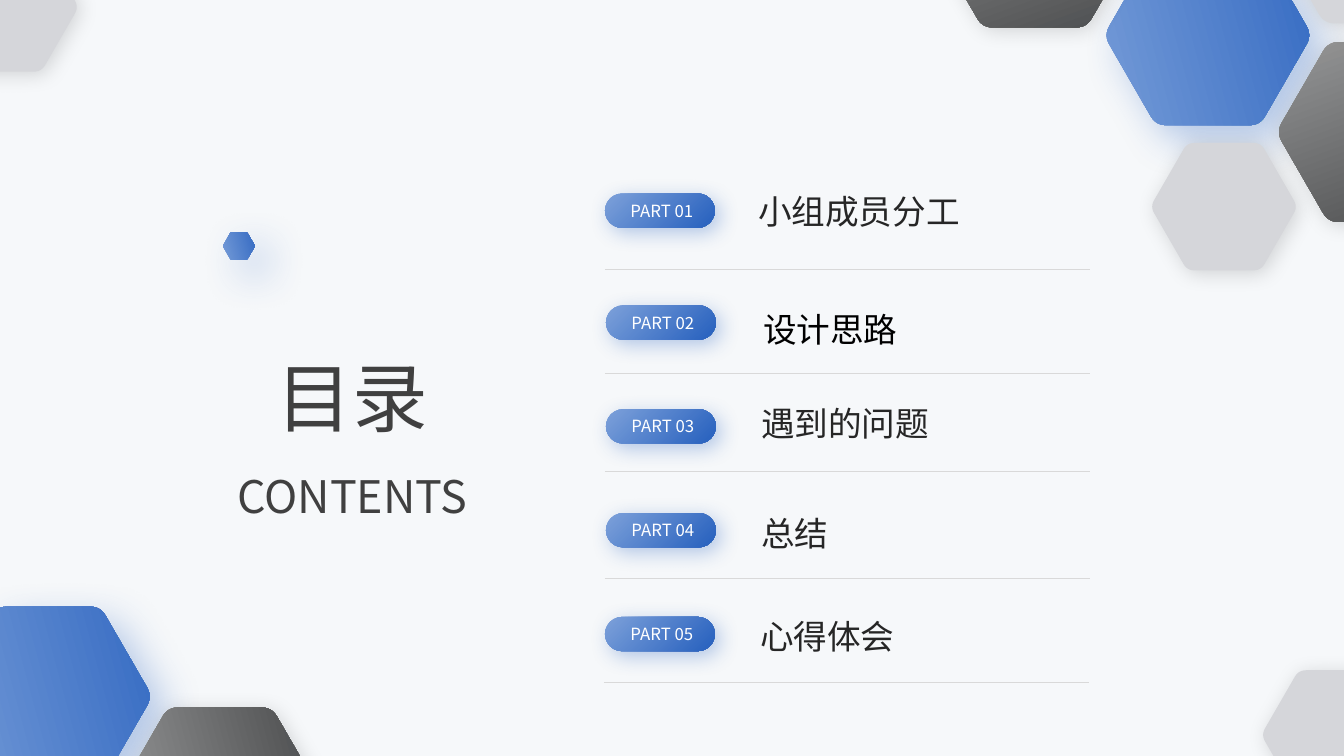
from dataclasses import dataclass
from math import cos, pi, sin

from lxml.etree import SubElement
from pptx import Presentation
from pptx.dml.color import RGBColor
from pptx.enum.shapes import MSO_CONNECTOR as Link, MSO_SHAPE as Shape
from pptx.enum.text import MSO_AUTO_SIZE as Fit, PP_ALIGN as Align
from pptx.oxml.ns import qn
from pptx.util import Inches, Pt


@dataclass(frozen=True)
class Theme:
    font: str = "Noto Sans CJK SC"
    back: str = "F6F8FA"
    blue: tuple = ("7DA1DA", "2D65C0")
    dark: tuple = ("A5A5A5", "3D3F41")
    pale: str = "D5D6DA"
    rule: str = "D9D9D9"
    head: str = "404040"
    text: str = "262626"
    black: str = "000000"
    white: str = "FFFFFF"
    head_size: int = 54
    sub_size: int = 32
    item_size: int = 24
    tag_size: int = 12


@dataclass(frozen=True)
class Glow:
    color: str
    alpha: int
    blur: int
    dist: int


@dataclass(frozen=True)
class Item:
    title: str
    box: tuple
    tag: tuple
    color: str = Theme.text
    align: Align = Align.LEFT
    space: float = 1.0


THEME = Theme()
HALO = Glow(THEME.blue[1], 35, 30, 15)
LIFT = Glow(THEME.blue[1], 35, 15, 5)
SHADE = Glow(THEME.black, 15, 15, 3)

ITEMS = [
    Item("小组成员分工", (7.42, 1.84, 3.24, 0.5), (6, 1.92)),
    Item("设计思路", (6.57, 2.94, 3.33, 0.58), (6.01, 3.03),
         THEME.black, Align.CENTER, 1.2),
    Item("遇到的问题", (7.45, 3.95, 3.24, 0.5), (6.01, 4.06)),
    Item("总结", (7.45, 5.04, 3.24, 0.5), (6.01, 5.09)),
    Item("心得体会", (7.44, 6.06, 3.24, 0.5), (6, 6.12)),
]
RULES = [(6, 2.67), (6, 3.7), (6, 4.68), (6, 5.74), (5.99, 6.77)]

# Centre x, centre y, radius, fill, gradient angle, shadow
HEXES = [
    (0.48, 6.91, 1.03, THEME.blue, 45, HALO),
    (2.18, 7.91, 1.03, THEME.dark, 45, SHADE),
    (11.98, 0.35, 1.03, THEME.blue, 45, HALO),
    (13.69, 1.31, 1.03, THEME.dark, 130, SHADE),
    (10.26, -0.62, 1.03, THEME.dark, 130, SHADE),
    (12.14, 2.05, 0.73, THEME.pale, 0, SHADE),
    (13.25, 7.29, 0.74, THEME.pale, 0, SHADE),
    (0.04, 0.07, 0.74, THEME.pale, 0, SHADE),
    (13.65, -0.66, 1.03, THEME.pale, 0, SHADE),
    (2.37, 2.44, 0.16, THEME.blue, 45, HALO),
]


def rgb(code):
    return RGBColor.from_string(code)


def paint(shape, fill, angle=45, end=1.0):
    """Fill with one colour, or with a pair as a clockwise gradient."""
    shape.line.fill.background()
    if isinstance(fill, str):
        shape.fill.solid()
        shape.fill.fore_color.rgb = rgb(fill)
        return
    shape.fill.gradient()
    shape.fill.gradient_angle = 360 - angle
    for stop, code, place in zip(shape.fill.gradient_stops, fill, (0, end)):
        stop.color.rgb = rgb(code)
        stop.position = place


def shade(shape, glow):
    """Give the shape a soft shadow to the lower right."""
    shape.shadow.inherit = False
    root = shape.element.spPr.find(qn("a:effectLst"))
    outer = SubElement(root, qn("a:outerShdw"), blurRad=str(Pt(glow.blur)),
                       dist=str(Pt(glow.dist)), dir=str(45 * 60000),
                       algn="ctr", rotWithShape="0")
    color = SubElement(outer, qn("a:srgbClr"), val=glow.color)
    SubElement(color, qn("a:alpha"), val=str(glow.alpha * 1000))


def outline(x, y, radius, cut=0.1, steps=6):
    """Points of a regular hexagon with rounded corners."""
    tips = [(x + radius * cos(k * pi / 3), y + radius * sin(k * pi / 3))
            for k in range(6)]
    dots = []
    for k, tip in enumerate(tips):
        start, stop = ([a + (b - a) * cut for a, b in zip(tip, near)]
                       for near in (tips[k - 1], tips[(k + 1) % 6]))
        for n in range(steps + 1):
            t = n / steps
            dots.append(tuple(
                Inches((1 - t) ** 2 * a + 2 * t * (1 - t) * b + t * t * c)
                for a, b, c in zip(start, tip, stop)))
    return dots


def add_hex(shapes, x, y, radius, fill, angle, glow):
    dots = outline(x, y, radius)
    pen = shapes.build_freeform(*dots[0])
    pen.add_line_segments(dots[1:], close=True)
    shape = pen.convert_to_shape()
    shape.rotation = 300
    paint(shape, fill, angle)
    shade(shape, glow)


def add_text(shapes, box, lines, color, align=Align.CENTER, space=1.0):
    """Add a text box; lines holds pairs of wording and size."""
    frame = shapes.add_textbox(*map(Inches, box)).text_frame
    frame.word_wrap = True
    frame.auto_size = Fit.SHAPE_TO_FIT_TEXT
    for k, (words, size) in enumerate(lines):
        para = frame.add_paragraph() if k else frame.paragraphs[0]
        para.alignment = align
        para.line_spacing = space
        run = para.add_run()
        run.text = words
        run.font.name = THEME.font
        run.font.size = Pt(size)
        run.font.color.rgb = rgb(color)
        SubElement(run.font._element, qn("a:ea"), typeface=THEME.font)


def add_item(slide, number, item):
    shapes = slide.shapes.add_group_shape().shapes
    add_text(shapes, item.box, [(item.title, THEME.item_size)],
             item.color, item.align, item.space)
    x, y = item.tag
    pill = shapes.add_shape(Shape.ROUNDED_RECTANGLE,
                            *map(Inches, (x, y, 1.09, 0.34)))
    pill.adjustments[0] = 0.5
    paint(pill, THEME.blue, end=0.92)
    shade(pill, LIFT)
    add_text(shapes, (x, y + 0.02, 1.13, 0.3),
             [(f"PART {number:02}", THEME.tag_size)], THEME.white)


def add_rule(shapes, x, y):
    rule = shapes.add_connector(Link.STRAIGHT,
                                *map(Inches, (x, y, x + 4.81, y)))
    rule.line.color.rgb = rgb(THEME.rule)
    rule.line.width = Pt(0.5)
    SubElement(rule.element.spPr, qn("a:effectLst"))


def main():
    deck = Presentation()
    deck.slide_width, deck.slide_height = Inches(13.33), Inches(7.5)
    slide = deck.slides.add_slide(deck.slide_layouts[6])
    slide.background.fill.solid()
    slide.background.fill.fore_color.rgb = rgb(THEME.back)

    # Hexagons in the corners and above the heading
    for spec_row in HEXES:
        add_hex(slide.shapes, *spec_row)

    # Heading
    add_text(slide.shapes, (1.94, 2.98, 3.11, 2.27),
             [("目录", THEME.head_size), ("CONTENTS", THEME.sub_size)],
             THEME.head, space=1.5)

    # List of parts
    for number, item in enumerate(ITEMS, 1):
        add_item(slide, number, item)
    for x, y in RULES:
        add_rule(slide.shapes, x, y)

    deck.save("out.pptx")


if __name__ == "__main__":
    main()
